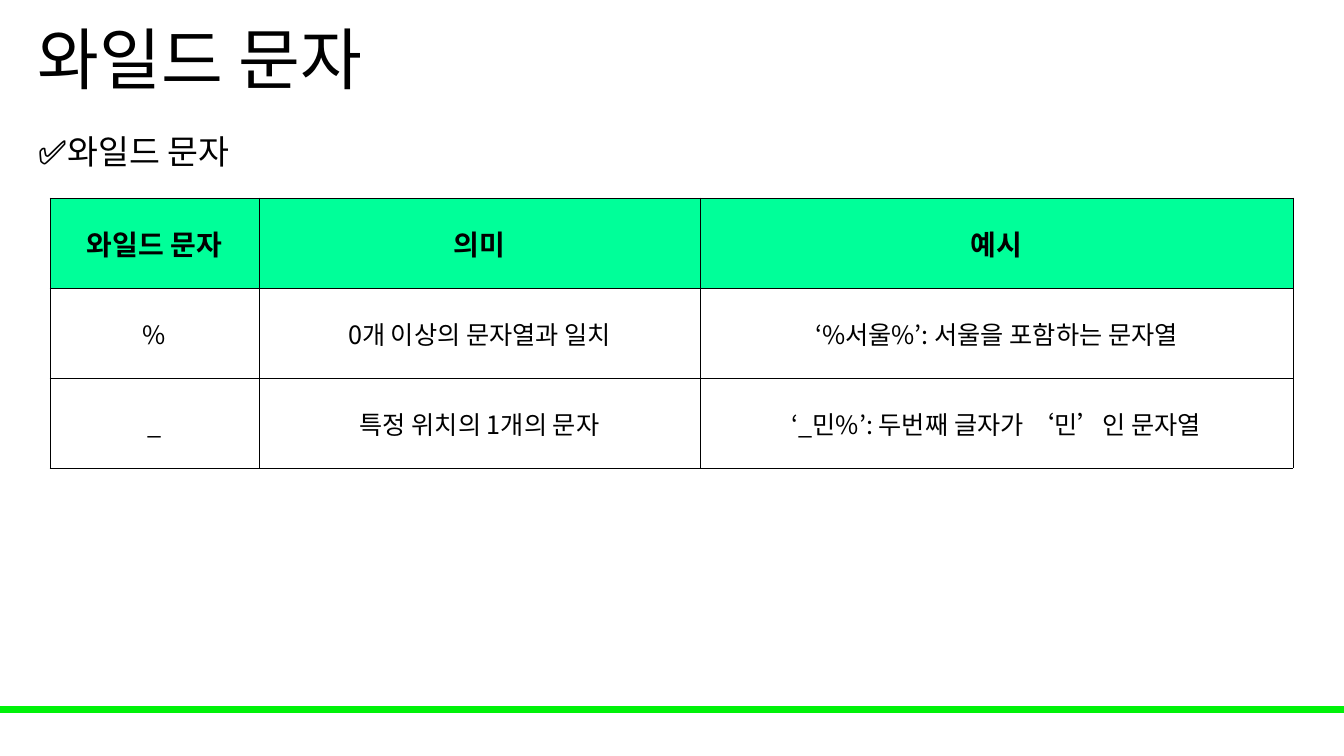
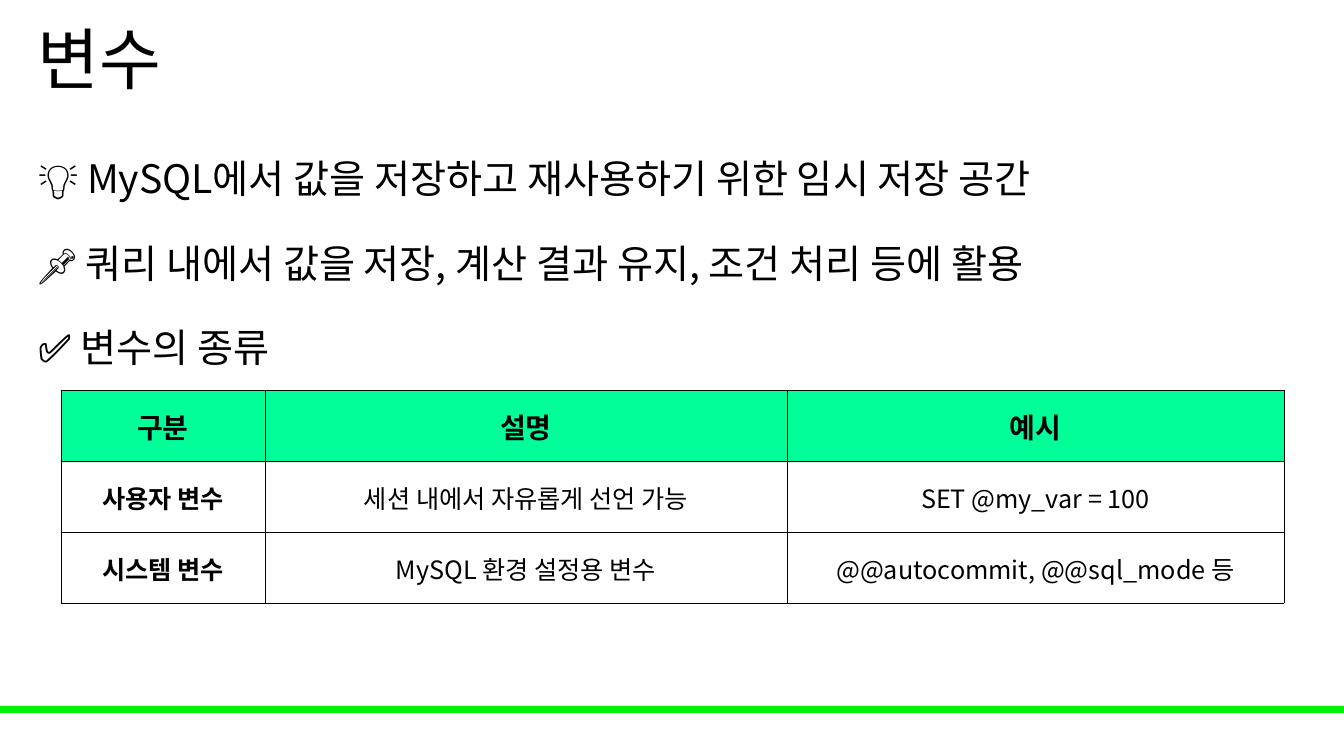
from lxml.etree import SubElement
from pptx import Presentation
from pptx.dml.color import RGBColor
from pptx.enum.shapes import MSO_SHAPE as Shape
from pptx.enum.text import MSO_ANCHOR as Anchor, PP_ALIGN as Align
from pptx.oxml.ns import qn
from pptx.util import Pt

SCALE = 914400 / 100.8
PAGE_WIDTH, PAGE_HEIGHT = 1344, 756
FONT = "Noto Sans CJK KR"
BLACK, WHITE, GREEN, MINT = "000000", "FFFFFF", "00F209", "00FF99"
LEFT = 28


def px(length):
    return round(length * SCALE)


def color(value):
    return RGBColor.from_string(value)


def style(para, size, bold=False):
    font = para.font
    font.size = Pt(size)
    font.bold = bold
    font.color.rgb = color(BLACK)
    font.name = FONT
    east_asian = SubElement(para._p.pPr.find(qn("a:defRPr")), qn("a:ea"))
    east_asian.set("typeface", FONT)


def add_text(page, bounds, lines, size, spacing=1.0, before=0, anchor=Anchor.TOP):
    box = page.shapes.add_textbox(*map(px, bounds))
    frame = box.text_frame
    frame.word_wrap = True
    frame.vertical_anchor = anchor
    for index, line in enumerate(lines):
        para = frame.paragraphs[0] if index == 0 else frame.add_paragraph()
        para.text = line
        para.line_spacing = spacing
        para.space_before = Pt(before if index else 0)
        style(para, size)


def add_page(deck, title):
    page = deck.slides.add_slide(deck.slide_layouts[6])
    page.background.fill.solid()
    page.background.fill.fore_color.rgb = color(WHITE)
    band = page.shapes.add_shape(Shape.RECTANGLE, 0, px(707), px(PAGE_WIDTH), px(5))
    band.shadow.inherit = False
    band.fill.solid()
    band.fill.fore_color.rgb = color(GREEN)
    band.line.color.rgb = color(GREEN)
    band.line.width = Pt(1)
    add_text(page, (LEFT, 0, 1159, 126), [title], 48, 0.9, anchor=Anchor.MIDDLE)
    return page


def add_borders(cell):
    properties = cell._tc.get_or_add_tcPr()
    for index, side in enumerate(("lnL", "lnR", "lnT", "lnB")):
        line = SubElement(properties, qn(f"a:{side}"), w=str(Pt(0.5)))
        fill = SubElement(line, qn("a:solidFill"))
        SubElement(fill, qn("a:srgbClr"), val=BLACK)
        properties.insert(index, line)


def fill_cell(cell, text, header, bold):
    cell.text = text
    cell.vertical_anchor = Anchor.MIDDLE
    cell.margin_left = cell.margin_right = cell.margin_top = px(1)
    cell.margin_bottom = 0
    if header:
        cell.fill.solid()
        cell.fill.fore_color.rgb = color(MINT)
    else:
        cell.fill.background()
    add_borders(cell)
    para = cell.text_frame.paragraphs[0]
    para.alignment = Align.CENTER
    style(para, 20 if header else 18, bold)


def add_grid(page, left, top, widths, row_height, rows, bold_labels=False):
    frame = page.shapes.add_table(
        len(rows), len(widths), px(left), px(top),
        px(sum(widths)), px(row_height * len(rows)))
    table = frame.table
    for column, width in zip(table.columns, widths):
        column.width = px(width)
    for row_index, texts in enumerate(rows):
        table.rows[row_index].height = px(row_height)
        for column_index, text in enumerate(texts):
            header = row_index == 0
            bold = header or (bold_labels and column_index == 0)
            fill_cell(table.cell(row_index, column_index), text, header, bold)


def add_wildcards(deck):
    page = add_page(deck, "와일드 문자")
    add_text(page, (LEFT, 126, 674, 50), ["✅와일드 문자"], 24)
    add_grid(page, 50, 198, (209, 441, 593), 90, [
        ("와일드 문자", "의미", "예시"),
        ("%", "0개 이상의 문자열과 일치", "‘%서울%’: 서울을 포함하는 문자열"),
        ("_", "특정 위치의 1개의 문자", "‘_민%’: 두번째 글자가 ‘민’인 문자열"),
    ])


def add_variables(deck):
    page = add_page(deck, "변수")
    add_text(page, (LEFT, 126, 1290, 290), [
        "💡 MySQL에서 값을 저장하고 재사용하기 위한 임시 저장 공간",
        "📌 쿼리 내에서 값을 저장, 계산 결과 유지, 조건 처리 등에 활용",
        "✅ 변수의 종류",
    ], 28, 1.5, 10)
    add_grid(page, 61, 390, (204, 522, 497), 71, [
        ("구분", "설명", "예시"),
        ("사용자 변수", "세션 내에서 자유롭게 선언 가능", "SET @my_var = 100"),
        ("시스템 변수", "MySQL 환경 설정용 변수", "@@autocommit, @@sql_mode 등"),
    ], bold_labels=True)


def main():
    deck = Presentation()
    deck.slide_width = px(PAGE_WIDTH)
    deck.slide_height = px(PAGE_HEIGHT)
    add_wildcards(deck)
    add_variables(deck)
    deck.save("out.pptx")


if __name__ == "__main__":
    main()
